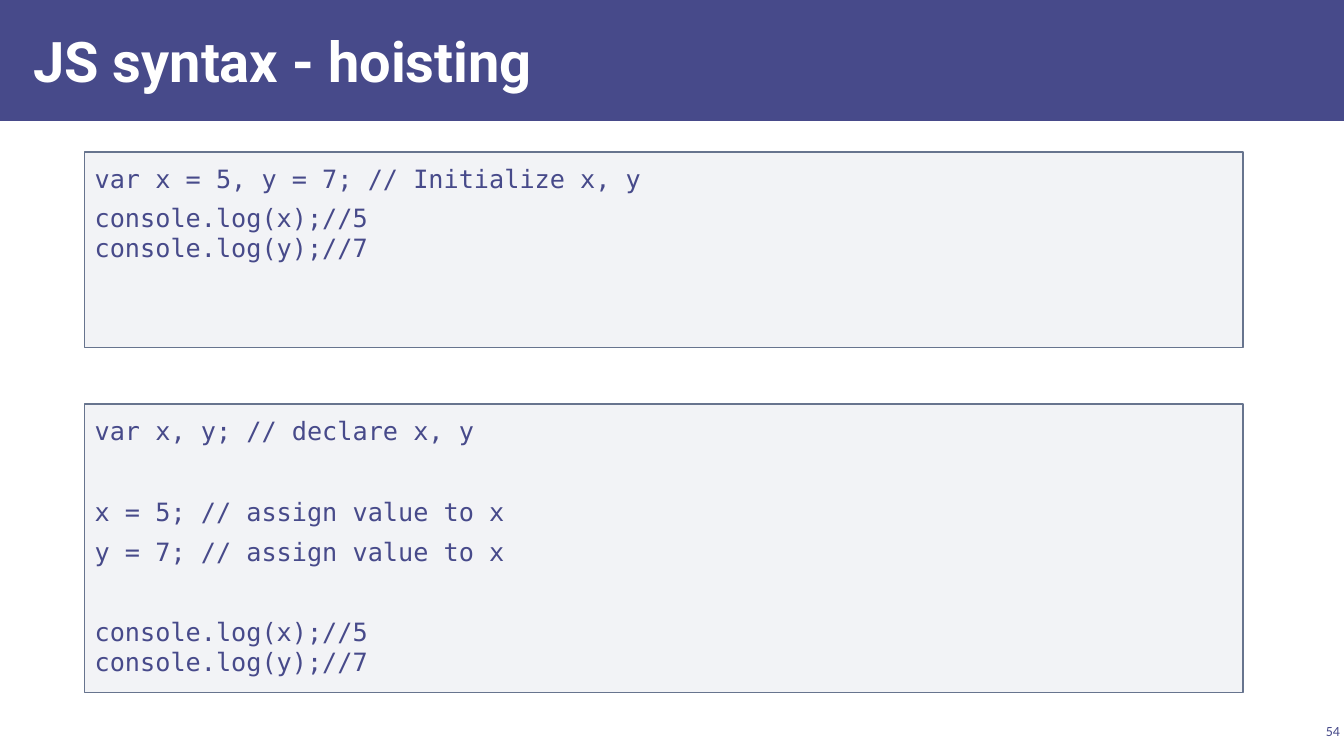
"""Build the slide on hoisting in JS."""
from lxml import etree
from pptx import Presentation
from pptx import util as u
from pptx.dml.color import RGBColor
from pptx.enum import shapes, text
from pptx.oxml.ns import qn

INDIGO = "474A8A"
WHITE = "FFFFFF"
MONO = "DejaVu Sans Mono"
LOGS = [("console.log(x);//5", 1), ("console.log(y);//7", 1)]


def color(code):
    """Return the colour for a hex string."""
    return RGBColor.from_string(code)


def place(box):
    """Turn left, top, width and height into lengths."""
    return [u.Inches(n) for n in box]


def write(para, words, size, font, ink=INDIGO, bold=False, align=None,
          before=0, lines=1.0):
    """Fill a paragraph with formatted text."""
    para.alignment = align or text.PP_ALIGN.LEFT
    para.space_before = u.Pt(before)
    para.line_spacing = lines
    run = para.add_run()
    run.text = words
    run.font.size = u.Pt(size)
    run.font.name = font
    run.font.bold = bold
    run.font.color.rgb = color(ink)


def inset(frame, side, edge, anchor):
    """Set wrapping, margins and anchor of a text frame."""
    frame.word_wrap = True
    frame.margin_left = frame.margin_right = u.Inches(side)
    frame.margin_top = frame.margin_bottom = u.Inches(edge)
    frame.vertical_anchor = anchor


def label(slide, box, words, side, **style):
    """Add one line of text, centred in height."""
    frame = slide.shapes.add_textbox(*place(box)).text_frame
    inset(frame, side, 0.04, text.MSO_ANCHOR.MIDDLE)
    write(frame.paragraphs[0], words, **style)


def panel(slide, box, fill, line=None, alpha=None):
    """Add a flat rectangle, see-through if alpha is given."""
    shape = slide.shapes.add_shape(shapes.MSO_SHAPE.RECTANGLE, *place(box))
    shape.shadow.inherit = False
    shape.fill.solid()
    shape.fill.fore_color.rgb = color(fill)
    if alpha:
        tint = shape.fill._xPr.find(".//" + qn("a:srgbClr"))
        etree.SubElement(tint, qn("a:alpha")).set("val", str(alpha * 1000))
    if line:
        shape.line.color.rgb = color(line)
        shape.line.width = u.Pt(1)
    else:
        shape.line.fill.background()
    return shape


def code(slide, top, height, rows, gaps):
    """Add a code panel with the given space before each row."""
    shape = panel(slide, (0.84, top, 11.49, height), "ACB4C3", "67748E", 15)
    frame = shape.text_frame
    inset(frame, 0.1, 0.1, text.MSO_ANCHOR.TOP)
    for i, ((words, lines), gap) in enumerate(zip(rows, gaps)):
        para = frame.add_paragraph() if i else frame.paragraphs[0]
        write(para, words, 18, MONO, before=gap, lines=lines)


def main():
    """Build and save the slide."""
    deck = Presentation()
    deck.slide_width, deck.slide_height = u.Inches(13.33), u.Inches(7.5)
    slide = deck.slides.add_slide(deck.slide_layouts[6])
    panel(slide, (0, 0, 13.33, 1.2), INDIGO)
    label(slide, (0.21, 0.11, 10.4, 0.97), "JS syntax - hoisting", 0.12,
          size=40, font="Roboto", ink=WHITE, bold=True)
    label(slide, (12.86, 7.14, 0.47, 0.22), "54", 0.04,
          size=10, font="Calibri", align=text.PP_ALIGN.RIGHT)
    code(slide, 1.51, 1.94,
         [("var x = 5, y = 7; // Initialize x, y", 1.05)] + LOGS, [0, 6, 0])
    code(slide, 4.01, 2.86,
         [("var x, y; // declare x, y", 1.05),
          ("x = 5; // assign value to x", 1.05),
          ("y = 7; // assign value to x", 1.05)] + LOGS, [0, 35, 6, 35, 0])
    deck.save("out.pptx")


if __name__ == "__main__":
    main()
